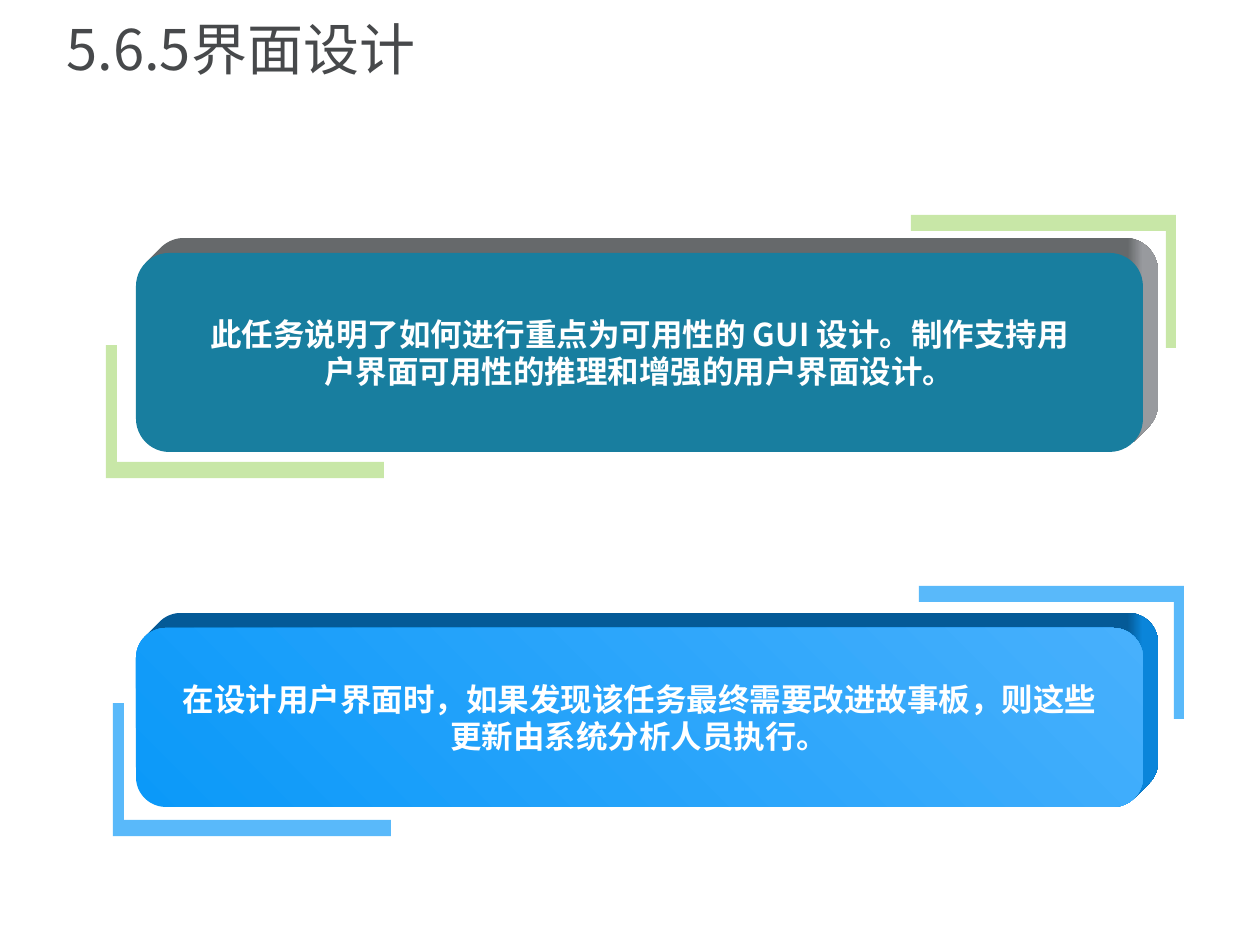
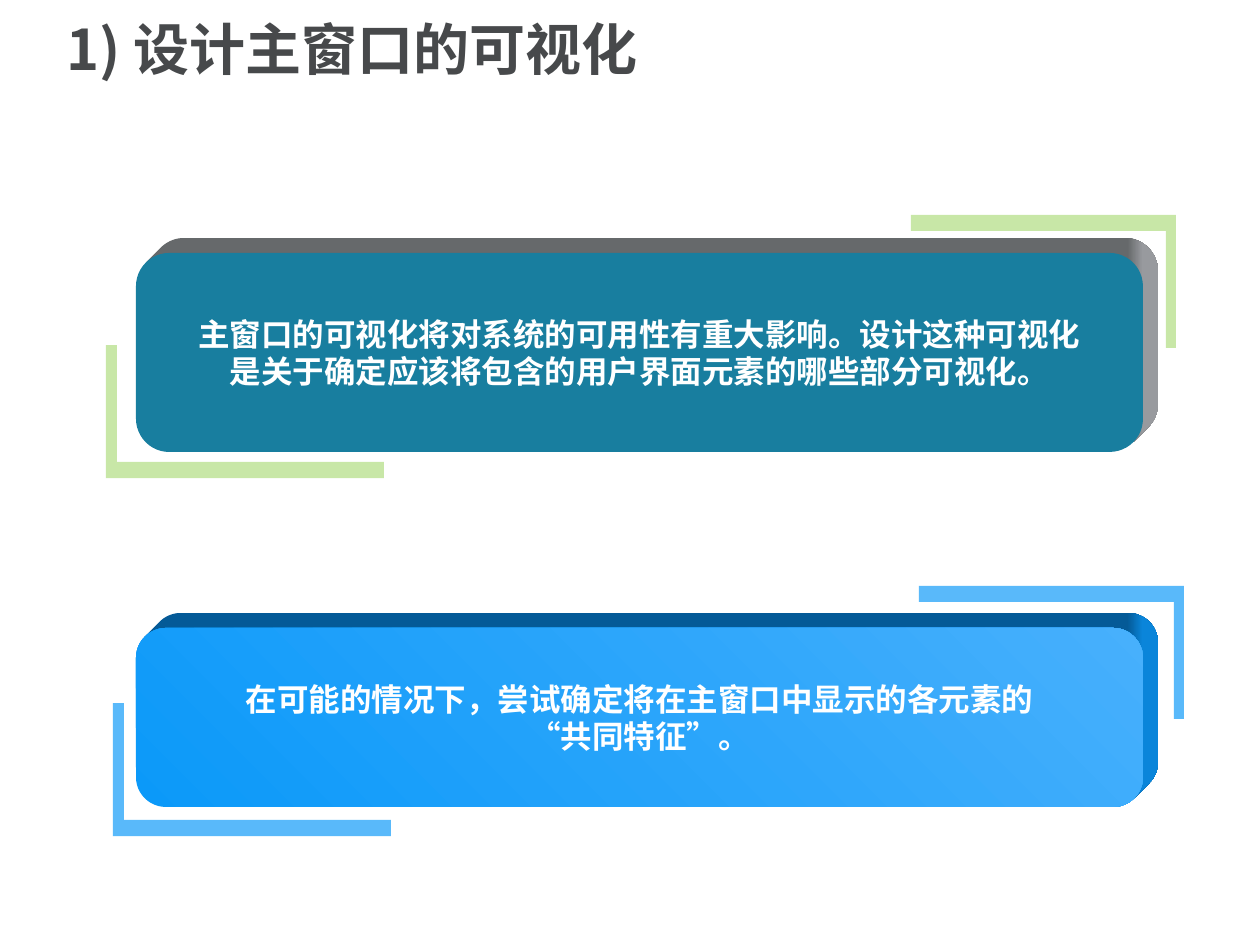
from math import cos, radians, sin

from lxml.etree import SubElement
from pptx import Presentation
from pptx.dml.color import RGBColor
from pptx.enum.shapes import MSO_SHAPE
from pptx.enum.text import MSO_ANCHOR, MSO_AUTO_SIZE, PP_ALIGN
from pptx.oxml.ns import qn
from pptx.util import Emu, Pt

# Content
SLIDES = [
    {
        "title": "5.6.5界面设计", "bold": False,
        "panels": [
            ["此任务说明了如何进行重点为可用性的 GUI 设计。制作支持用",
             "户界面可用性的推理和增强的用户界面设计。"],
            ["在设计用户界面时，如果发现该任务最终需要改进故事板，则这些",
             "更新由系统分析人员执行。"],
        ],
    },
    {
        "title": "1) 设计主窗口的可视化", "bold": True,
        "panels": [
            ["主窗口的可视化将对系统的可用性有重大影响。设计这种可视化",
             "是关于确定应该将包含的用户界面元素的哪些部分可视化。"],
            ["在可能的情况下，尝试确定将在主窗口中显示的各元素的",
             "“共同特征”。"],
        ],
    },
]

# Shared style, lengths in px
COLOURS = {
    "title": "47494B", "white": "FFFFFF",
    "teal": "187E9F", "grey_top": "66696B", "grey_side": "989A9E",
    "green": "92D050", "blue": "0B99F9", "light_blue": "47B0FC",
    "blue_top": "045A97", "blue_side": "0A85DA",
}
CJK_FONT = "Noto Sans CJK SC"
PX = 914400 / 126
TITLE_BOX = (54, 8, 1140, 88)
PANEL_LEFT, PANEL_WIDTH = 136, 1007
CORNER = 0.167
DEPTH = 15
BRACKET_HEIGHT, BAR_HEIGHT = 133, 16
PANELS = [
    {"top": 253, "height": 199, "front": ["teal"], "font": CJK_FONT,
     "sides": ("grey_top", "grey_side"), "bracket": "green", "opacity": 50,
     "lower_corner": (106, 478), "upper_corner": (1176, 215)},
    {"top": 628, "height": 179, "front": ["blue", "light_blue"], "font": "DejaVu Sans",
     "sides": ("blue_top", "blue_side"), "bracket": "blue", "opacity": 68,
     "lower_corner": (113, 836), "upper_corner": (1184, 586)},
]


def px(length):
    return Emu(round(length * PX))


def colour(name):
    return RGBColor.from_string(COLOURS[name])


def fill_solid(shape, name, opacity=100):
    shape.fill.solid()
    shape.fill.fore_color.rgb = colour(name)
    if opacity < 100:
        element = shape.fill._xPr.find(qn("a:solidFill"))[0]
        SubElement(element, qn("a:alpha"), val=str(opacity * 1000))


def fill_gradient(shape, stops, angle):
    """Fill with (percent, colour name) stops."""
    shape.fill.gradient()
    shape.fill.gradient_angle = angle
    stop_list = shape.fill._xPr.find(qn("a:gradFill")).find(qn("a:gsLst"))
    for stop in list(stop_list):
        stop_list.remove(stop)
    for percent, name in stops:
        stop = SubElement(stop_list, qn("a:gs"), pos=str(round(percent * 1000)))
        SubElement(stop, qn("a:srgbClr"), val=COLOURS[name])


def add_run(paragraph, text, size, name, font, bold):
    run = paragraph.add_run()
    run.text = text
    run.font.size = Pt(size)
    run.font.bold = bold
    run.font.color.rgb = colour(name)
    run.font.name = font
    SubElement(run.font._element, qn("a:ea"), typeface=CJK_FONT)


def add_outline(slide, points):
    points = [(px(x), px(y)) for x, y in points]
    builder = slide.shapes.build_freeform(*points[0])
    builder.add_line_segments(points[1:], close=True)
    shape = builder.convert_to_shape()
    shape.shadow.inherit = False
    shape.line.fill.background()
    return shape


def add_bracket(slide, corner, direction, width, bar_width, name, opacity):
    """Draw an L; direction 1 opens up and right, -1 down and left."""
    outline = [(0, 0), (width, 0), (width, BAR_HEIGHT), (bar_width, BAR_HEIGHT),
               (bar_width, BRACKET_HEIGHT), (0, BRACKET_HEIGHT)]
    x, y = corner
    shape = add_outline(slide, [(x + direction * dx, y - direction * dy)
                                for dx, dy in outline])
    fill_solid(shape, name, opacity)


def add_sides(slide, panel):
    """Draw the top and right sides of the raised panel as one outline."""
    radius = CORNER * panel["height"]
    left, right = PANEL_LEFT + radius, PANEL_LEFT + PANEL_WIDTH - radius
    top, bottom = panel["top"] + radius, panel["top"] + panel["height"] - radius

    def arc(x, y, start, end):
        return [(x + radius * cos(radians(angle)), y - radius * sin(radians(angle)))
                for angle in range(start, end - 1, -5)]

    back = (arc(left, top, 135, 90) + arc(right, top, 90, 0)
            + arc(right, bottom, 0, -45))
    front = [arc(right, bottom, -45, -45)[0], arc(left, top, 135, 135)[0]]
    shape = add_outline(slide, [(x + DEPTH, y - DEPTH) for x, y in back] + front)
    top_name, side_name = panel["sides"]
    fill_gradient(shape, [(0, top_name), (97, top_name),
                          (98.5, side_name), (100, side_name)], 0)


def add_panel(slide, panel, lines):
    # Corner brackets
    for key, direction, width, bar_width in (("lower_corner", 1, 278, 11),
                                             ("upper_corner", -1, 265, 10)):
        add_bracket(slide, panel[key], direction, width, bar_width,
                    panel["bracket"], panel["opacity"])
    # Raised box
    add_sides(slide, panel)
    box = slide.shapes.add_shape(
        MSO_SHAPE.ROUNDED_RECTANGLE, px(PANEL_LEFT), px(panel["top"]),
        px(PANEL_WIDTH), px(panel["height"]))
    box.adjustments[0] = CORNER
    box.shadow.inherit = False
    box.line.fill.background()
    if len(panel["front"]) == 1:
        fill_solid(box, panel["front"][0])
    else:
        fill_gradient(box, list(zip((0, 100), panel["front"])), 45)
    # Text
    frame = box.text_frame
    frame.word_wrap = False
    frame.vertical_anchor = MSO_ANCHOR.MIDDLE
    for index, line in enumerate(lines):
        paragraph = frame.add_paragraph() if index else frame.paragraphs[0]
        paragraph.alignment = PP_ALIGN.CENTER
        add_run(paragraph, line, 18, "white", panel["font"], True)


def set_title(slide, text, bold):
    title = slide.shapes.title
    title.left, title.top, title.width, title.height = map(px, TITLE_BOX)
    frame = title.text_frame
    frame.auto_size = MSO_AUTO_SIZE.NONE
    frame.word_wrap = True
    frame.vertical_anchor = MSO_ANCHOR.MIDDLE
    paragraph = frame.paragraphs[0]
    paragraph.alignment = PP_ALIGN.LEFT
    paragraph.line_spacing = 0.9
    add_run(paragraph, text, 32, "title", CJK_FONT, bold)


def main():
    presentation = Presentation()
    presentation.slide_width, presentation.slide_height = px(1260), px(945)
    for content in SLIDES:
        slide = presentation.slides.add_slide(presentation.slide_layouts[5])
        set_title(slide, content["title"], content["bold"])
        for panel, lines in zip(PANELS, content["panels"]):
            add_panel(slide, panel, lines)
    presentation.save("out.pptx")


if __name__ == "__main__":
    main()
